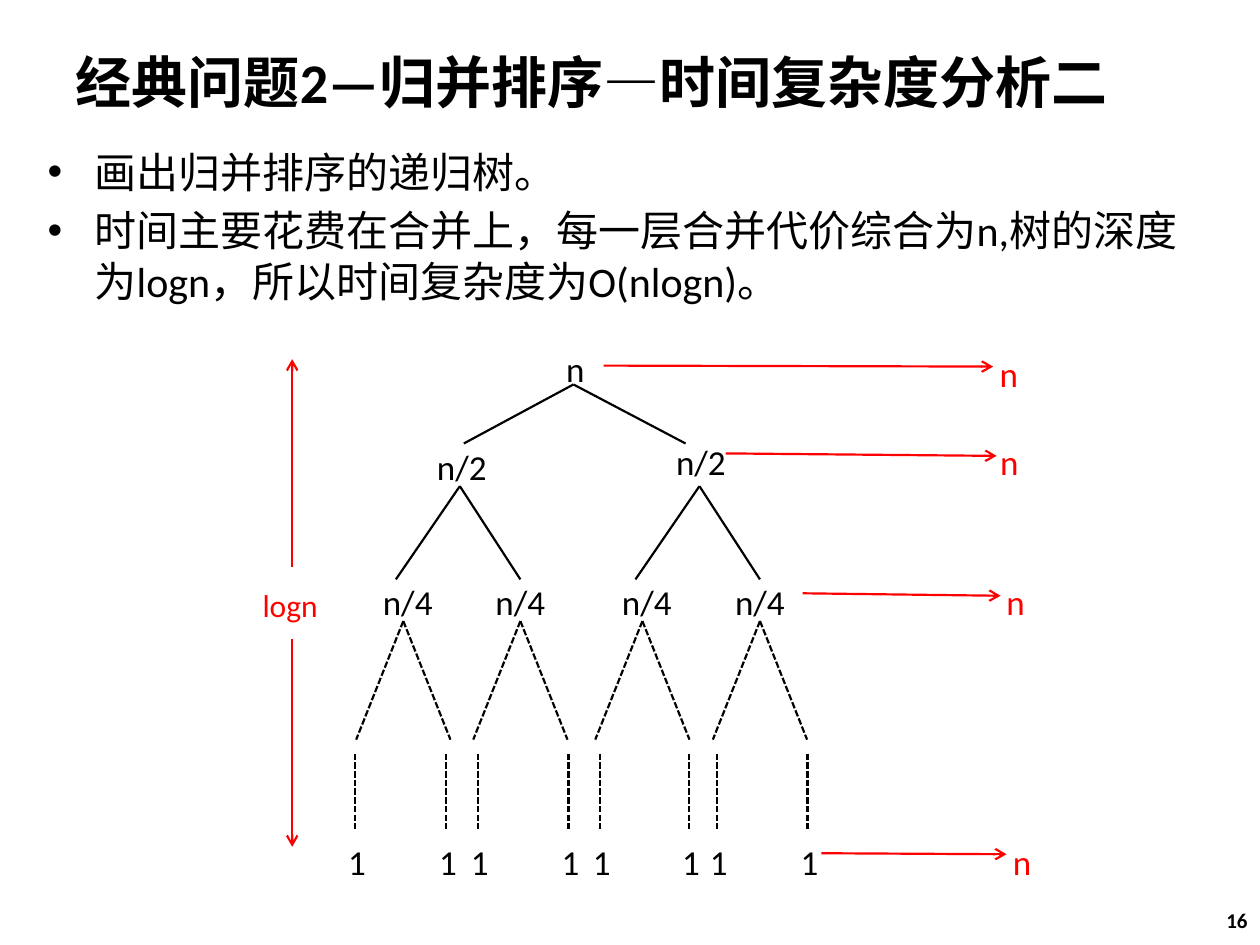
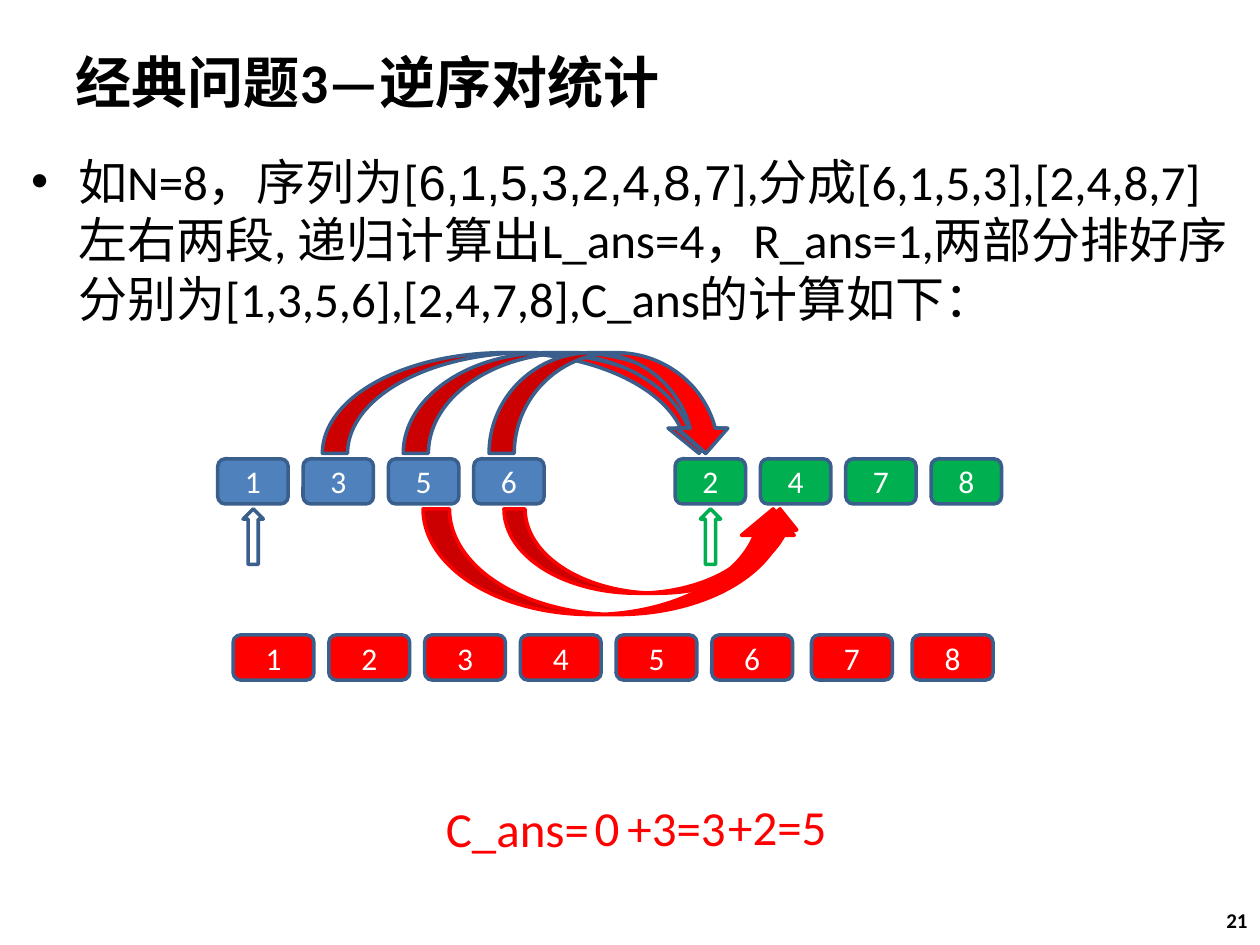
from lxml.etree import SubElement
from pptx import Presentation
from pptx.dml.color import RGBColor
from pptx.enum.dml import MSO_LINE_DASH_STYLE as Dash
from pptx.enum.shapes import MSO_CONNECTOR as Link, MSO_SHAPE as Preset
from pptx.enum.text import MSO_ANCHOR as Anchor, MSO_AUTO_SIZE as Fit, PP_ALIGN as Align
from pptx.oxml.ns import qn
from pptx.util import Cm, Pt

BLACK, WHITE, RED = "000000", "FFFFFF", "FF0000"
BLUE, GREEN, EDGE = "4F81BD", "00B050", "3A5F8C"
FACE = "Calibri"
TITLE_AREA = (1.27, 0.76, 22.86, 1.75)
NUMBER_AREA = (19.48, 18.03, 5.92, 1.02)
NODE_HEIGHT = 0.94
HALF_SHIFT = 4.83
LEAVES = [7.16, 8.99, 9.63, 11.46, 12.09, 13.89, 14.45, 16.28]
QUARTERS = [(8.22, 1.55, 8.13), (10.49, 1.73, 10.49), (13.04, 1.55, 12.95), (15.32, 1.73, 15.32)]
LEVEL_COSTS = [
    ((12.17, 7.37), (20.02, 7.39), (19.74, 6.99, 1.19)),
    ((14.63, 9.14), (20.09, 9.19), (19.91, 8.76, 0.84)),
    ((16.18, 11.96), (20.17, 12.01), (20.04, 11.58, 0.61)),
    ((16.56, 17.2), (20.29, 17.22), (20.17, 16.81, 0.56)),
]


def color(value):
    return RGBColor.from_string(value)


def cm(values):
    return [Cm(value) for value in values]


def apply(target, formats):
    for name, value in formats.items():
        setattr(target, name, value)


def add_span(para, text, size, tint=BLACK, bold=False, face=FACE):
    span = para.add_run()
    span.text = text
    apply(span.font, {"name": face, "size": Pt(size), "bold": bold})
    span.font.color.rgb = color(tint)


def add_label(page, text, area, size=20, tint=BLACK, align=Align.CENTER, bold=False, anchor=Anchor.TOP):
    box = page.shapes.add_textbox(*cm(area))
    apply(box.text_frame, {"word_wrap": True, "auto_size": Fit.NONE, "vertical_anchor": anchor})
    para = box.text_frame.paragraphs[0]
    para.alignment = align
    add_span(para, text, size, tint, bold)
    return box


def add_page(deck, heading, number):
    page = deck.slides.add_slide(deck.slide_layouts[5])
    title = page.shapes.title
    apply(title, dict(zip(("left", "top", "width", "height"), cm(TITLE_AREA))))
    apply(title.text_frame, {"word_wrap": True, "auto_size": Fit.NONE, "vertical_anchor": Anchor.MIDDLE})
    para = title.text_frame.paragraphs[0]
    para.alignment = Align.LEFT
    add_span(para, heading, 32, bold=True)
    add_label(page, number, NUMBER_AREA, 12, align=Align.RIGHT, bold=True, anchor=Anchor.MIDDLE)
    return page


def add_bullets(page, area, size, items):
    box = page.shapes.add_textbox(*cm(area))
    frame = box.text_frame
    frame.word_wrap = True
    for index, pieces in enumerate(items):
        para = frame.add_paragraph() if index else frame.paragraphs[0]
        props = para._p.get_or_add_pPr()
        props.set("marL", str(Cm(0.95)))
        props.set("indent", str(-Cm(0.95)))
        SubElement(props, qn("a:buFont")).set("typeface", "Arial")
        SubElement(props, qn("a:buChar")).set("char", "•")
        para.space_before = Pt(size * 0.2 if index else 0)
        for text, face in pieces:
            add_span(para, text, size, face=face)


def add_line(page, start, end, tint=BLACK, dash=None, arrow=False):
    line = page.shapes.add_connector(Link.STRAIGHT, *cm(start + end))
    apply(line.line, {"width": Pt(1.25), "dash_style": dash})
    line.line.color.rgb = color(tint)
    if arrow:
        SubElement(line.line._get_or_add_ln(), qn("a:tailEnd")).set("type", "arrow")
    SubElement(line._element.spPr, qn("a:effectLst"))
    return line


def add_node(page, text, center, top, width):
    return add_label(page, text, (center - width / 2, top, width, NODE_HEIGHT))


def add_fork(page, apex, feet, top, bottom, dash=None, node=None):
    for foot in feet:
        branch = add_line(page, (apex, top), (foot, bottom), dash=dash)
        if node is not None:
            branch.begin_connect(node, 2)


def add_preset(page, kind, area, fill, edge=EDGE):
    shape = page.shapes.add_shape(kind, *cm(area))
    shape.shadow.inherit = False
    shape.fill.solid()
    shape.fill.fore_color.rgb = color(fill)
    shape.line.color.rgb = color(edge)
    shape.line.width = Pt(2)
    return shape


def add_cells(page, numbers, left, step, top, width, fill):
    for index, number in enumerate(numbers):
        cell = add_preset(page, Preset.ROUNDED_RECTANGLE, (left + index * step, top, width, 0.91), fill)
        cell.text_frame.vertical_anchor = Anchor.MIDDLE
        para = cell.text_frame.paragraphs[0]
        para.alignment = Align.CENTER
        add_span(para, number, 18, WHITE)


def draw_recursion_tree(page):
    add_node(page, "n", 11.6, 6.88, 1.19)
    add_fork(page, 11.56, (9.35, 13.82), 7.75, 8.94)
    add_node(page, "n/2", 9.31, 8.86, 1.55)
    add_node(page, "n/2", 14.13, 8.76, 1.9)
    for shift in (0, HALF_SHIFT):
        add_fork(page, 9.27 + shift, (7.98 + shift, 10.49 + shift), 9.8, 11.68)
    for center, width, apex in QUARTERS:
        node = add_node(page, "n/4", center, 11.58, width)
        add_fork(page, apex, (apex - 0.95, apex + 0.95), 12.52, 14.91, Dash.SQUARE_DOT,
                 node if apex == center else None)
    for leaf in LEAVES:
        add_line(page, (leaf, 15.19), (leaf, 16.71), dash=Dash.SQUARE_DOT)
        add_node(page, "1", leaf + 0.04, 16.81, 1.55)


def draw_costs(page):
    for start, end, (left, top, width) in LEVEL_COSTS:
        add_line(page, start, end, RED, arrow=True)
        add_label(page, "n", (left, top, width, NODE_HEIGHT), tint=RED)
    for start, end in ((11.43, 7.24), (12.88, 17.07)):
        add_line(page, (5.89, start), (5.89, end), RED, arrow=True)
    add_label(page, "logn", (4.9, 11.68, 1.9, 1.02), 18, RED)


def draw_merge(page):
    add_cells(page, "1356", 4.39, 1.72, 9.25, 1.42, BLUE)
    add_cells(page, "2478", 13.61, 1.72, 9.25, 1.42, GREEN)
    for left, edge in ((4.9, EDGE), (14.12, GREEN)):
        add_preset(page, Preset.UP_ARROW, (left, 10.26, 0.41, 1.12), WHITE, edge)
    add_cells(page, "123456", 4.7, 1.93, 12.8, 1.63, RED)
    add_cells(page, "78", 16.36, 2.03, 12.8, 1.63, RED)
    for left, width in ((6.5, 8.1), (8.13, 6.6), (9.86, 4.88)):
        add_preset(page, Preset.CURVED_DOWN_ARROW, (left, 7.11, width, 2.03), RED)
    for left, width, height in ((8.53, 7.59, 2.13), (10.16, 5.99, 1.7)):
        add_preset(page, Preset.CURVED_UP_ARROW, (left, 10.26, width, height), RED, RED)


def draw_answer(page):
    for text, left, top, width, align in (
        ("C_ans=", 8.74, 15.98, 4.27, Align.LEFT),
        ("0", 11.68, 15.95, 1.12, Align.CENTER),
        ("+3=3", 12.4, 15.95, 2.7, Align.LEFT),
        ("+2=5", 14.43, 15.93, 2.74, Align.LEFT),
    ):
        add_label(page, text, (left, top, width, 1.45), 28, RED, align)


def main():
    deck = Presentation()
    apply(deck, {"slide_width": Cm(25.4), "slide_height": Cm(19.05)})

    tree_page = add_page(deck, "经典问题2—归并排序—时间复杂度分析二", "16")
    add_bullets(tree_page, (0.71, 2.82, 23.9, 15.49), 24, [
        [("画出归并排序的递归树。", FACE)],
        [("时间主要花费在合并上，每一层合并代价综合为n,树的深度为logn，所以时间复杂度为O(nlogn)。", FACE)],
    ])
    draw_recursion_tree(tree_page)
    draw_costs(tree_page)

    pairs_page = add_page(deck, "经典问题3—逆序对统计", "21")
    add_bullets(pairs_page, (0.38, 2.92, 24.69, 15.49), 28, [[
        ("如N=8，序列为[", FACE),
        ("6,1,5,3,2,4,8,7", "Arial"),
        ("],分成[6,1,5,3],[2,4,8,7]左右两段, 递归计算出L_ans=4，R_ans=1,"
         "两部分排好序分别为[1,3,5,6],[2,4,7,8],C_ans的计算如下：", FACE),
    ]])
    draw_merge(pairs_page)
    draw_answer(pairs_page)

    deck.save("out.pptx")


if __name__ == "__main__":
    main()
